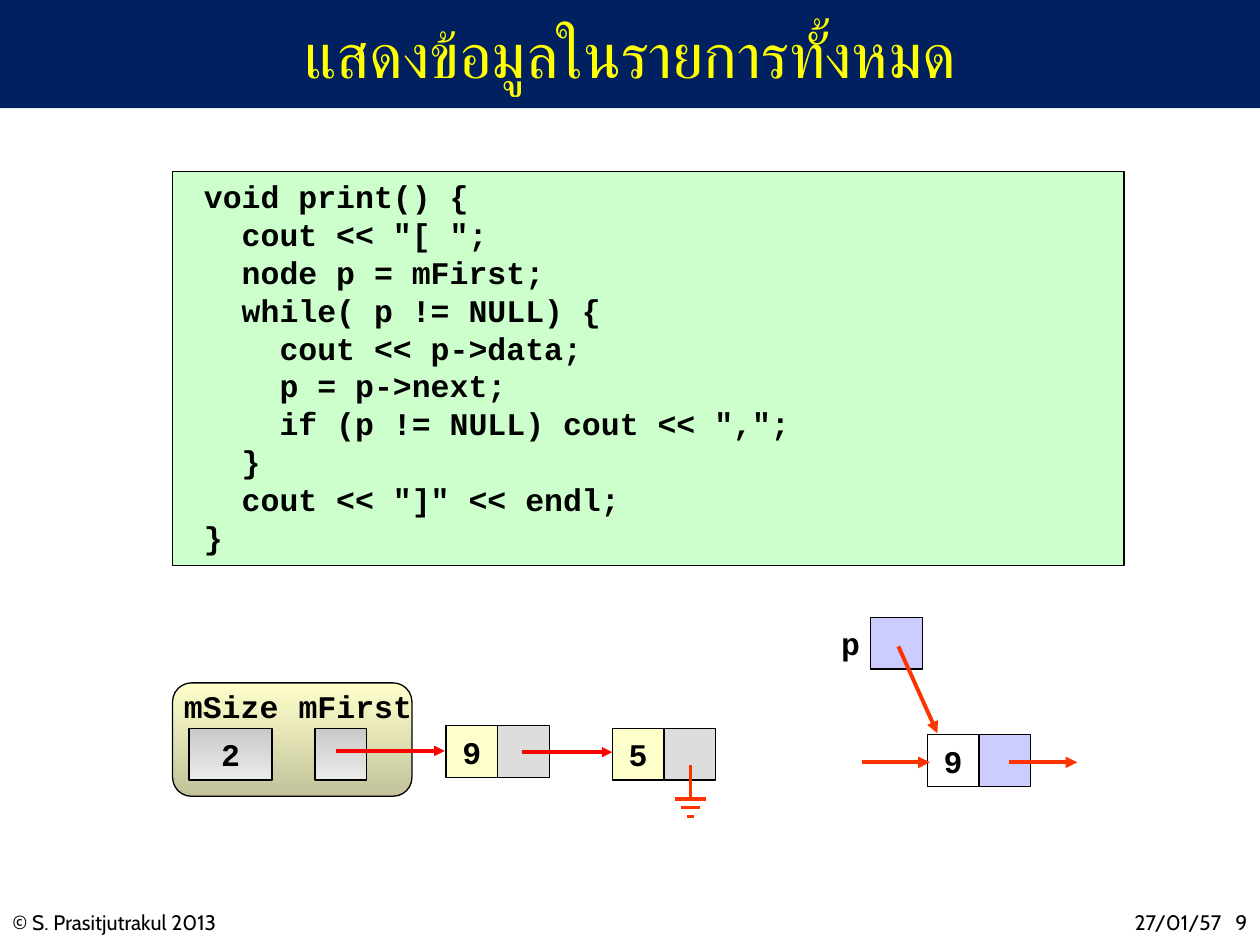
from lxml import etree
from pptx import Presentation
from pptx.dml.color import RGBColor
from pptx.enum.shapes import MSO_CONNECTOR, MSO_SHAPE
from pptx.enum.text import MSO_ANCHOR, PP_ALIGN
from pptx.oxml.ns import qn
from pptx.util import Inches, Pt

RECT, ROUNDED = MSO_SHAPE.RECTANGLE, MSO_SHAPE.ROUNDED_RECTANGLE
STRAIGHT = MSO_CONNECTOR.STRAIGHT
LEFT, CENTER, RIGHT = PP_ALIGN.LEFT, PP_ALIGN.CENTER, PP_ALIGN.RIGHT
TOP, MIDDLE = MSO_ANCHOR.TOP, MSO_ANCHOR.MIDDLE
NAVY, YELLOW, BLACK, WHITE = "002060", "FFFF00", "000000", "FFFFFF"
GREEN, CREAM, GREY, LILAC = "CCFFCC", "FFFFCC", "DDDDDD", "CCCCFF"
OLIVE, SILVER = (CREAM, "C2C29B"), ("CACACA", "EAEAEA")
RED, ORANGE = "FF0000", "FF3300"
CELL = 0.41
color = RGBColor.from_string

prs = Presentation()
prs.slide_width, prs.slide_height = Inches(10), Inches(7.5)
slide = prs.slides.add_slide(prs.slide_layouts[5])
shapes = slide.shapes


def box(left, top, width, height, fill=None, text="", outline=BLACK, kind=RECT,
        align=CENTER, anchor=MIDDLE, font="Courier New", size=18, bold=True):
    """Draw a filled shape (a colour pair gives a gradient) or, without fill, a text box."""
    place = [Inches(n) for n in (left, top, width, height)]
    if fill:
        shape = shapes.add_shape(kind, *place)
        shape.shadow.inherit = False
        if isinstance(fill, tuple):
            shape.fill.gradient()
            shape.fill.gradient_angle = 270
            for stop, shade in zip(shape.fill.gradient_stops, fill):
                stop.color.rgb = color(shade)
        else:
            shape.fill.solid()
            shape.fill.fore_color.rgb = color(fill)
        if outline:
            shape.line.color.rgb = color(outline)
            shape.line.width = Pt(0.75)
        else:
            shape.line.fill.background()
    else:
        shape = shapes.add_textbox(*place)
    frame = shape.text_frame
    frame.word_wrap = bool(fill) or align != CENTER
    frame.vertical_anchor = anchor
    frame.text = text
    for paragraph in frame.paragraphs:
        paragraph.alignment = align
        paragraph.font.name, paragraph.font.size = font, Pt(size)
        paragraph.font.bold = bold
        paragraph.font.color.rgb = color(BLACK)


def line(x1, y1, x2, y2, stroke, width=2, arrow=True):
    link = shapes.add_connector(STRAIGHT, *[Inches(n) for n in (x1, y1, x2, y2)])
    link.line.color.rgb = color(stroke)
    link.line.width = Pt(width)
    if arrow:
        etree.SubElement(link.line._get_or_add_ln(), qn("a:tailEnd"), type="triangle")
    etree.SubElement(link._element.spPr, qn("a:effectLst"))


# Title band and footer
box(0, 0, 10, 0.86, NAVY, outline=None)
title = shapes.title
title.left, title.top = Inches(0.75), Inches(0.01)
title.width, title.height = Inches(8.5), Inches(0.83)
title.text_frame.text = "แสดงข้อมูลในรายการทั้งหมด"
title.text_frame.vertical_anchor = MIDDLE
heading = title.text_frame.paragraphs[0]
heading.alignment = CENTER
heading_font = heading.runs[0].font
heading_font.name, heading_font.size = "Noto Sans Mono", Pt(36)
heading_font.color.rgb = color(YELLOW)
shapes._spTree.append(title._element)  # title in front of the band

for left, width, align, text in [(0, 3.25, LEFT, "© S. Prasitjutrakul 2013"),
                                 (7.83, 2.17, RIGHT, "27/01/57   9")]:
    box(left, 7.17, width, 0.3, text=text, align=align, anchor=TOP,
        font="Cabin", size=12, bold=False)

# Code listing
code = """ void print() {
   cout << "[ ";
   node p = mFirst;
   while( p != NULL) {
     cout << p->data;
     p = p->next;
     if (p != NULL) cout << ",";
   }
   cout << "]" << endl;
 }"""
box(1.37, 1.36, 7.55, 3.13, GREEN, code, align=LEFT, anchor=TOP)

# List header
box(1.37, 5.42, 1.9, 0.9, OLIVE, kind=ROUNDED)
box(1.5, 5.78, 0.66, CELL, SILVER, "2")
box(2.5, 5.78, CELL, CELL, SILVER)
box(1.33, 5.4, 1.01, 0.4, text="mSize")
box(2.24, 5.4, 1.16, 0.4, text="mFirst")

# Nodes: a data cell and a link cell side by side
for left, top, value, data_fill, link_fill in [(3.54, 5.76, "9", CREAM, GREY),
                                               (4.86, 5.78, "5", CREAM, GREY),
                                               (7.36, 5.83, "9", WHITE, LILAC)]:
    box(left, top, CELL, CELL, data_fill, value)
    box(left + CELL, top, CELL, CELL, link_fill)

# Pointer p
box(6.91, 4.9, CELL, CELL, LILAC)
box(6.57, 4.9, 0.36, 0.4, text="p")
line(7.13, 5.13, 7.44, 5.82, ORANGE, 2.25)
for start in (6.84, 8.01):
    line(start, 6.05, start + 0.54, 6.05, ORANGE, 2.25)

# Links between nodes, ending in a ground symbol
line(2.67, 5.96, 3.53, 5.96, RED)
line(4.14, 5.97, 4.86, 5.97, RED)
ground_x, ground_y = 5.48, 6.34
line(ground_x, 6.07, ground_x, ground_y, ORANGE, arrow=False)
for step, half in enumerate((0.125, 0.075, 0.03)):
    y = ground_y + 0.07 * step
    line(ground_x - half, y, ground_x + half, y, ORANGE, arrow=False)

prs.save("out.pptx")
